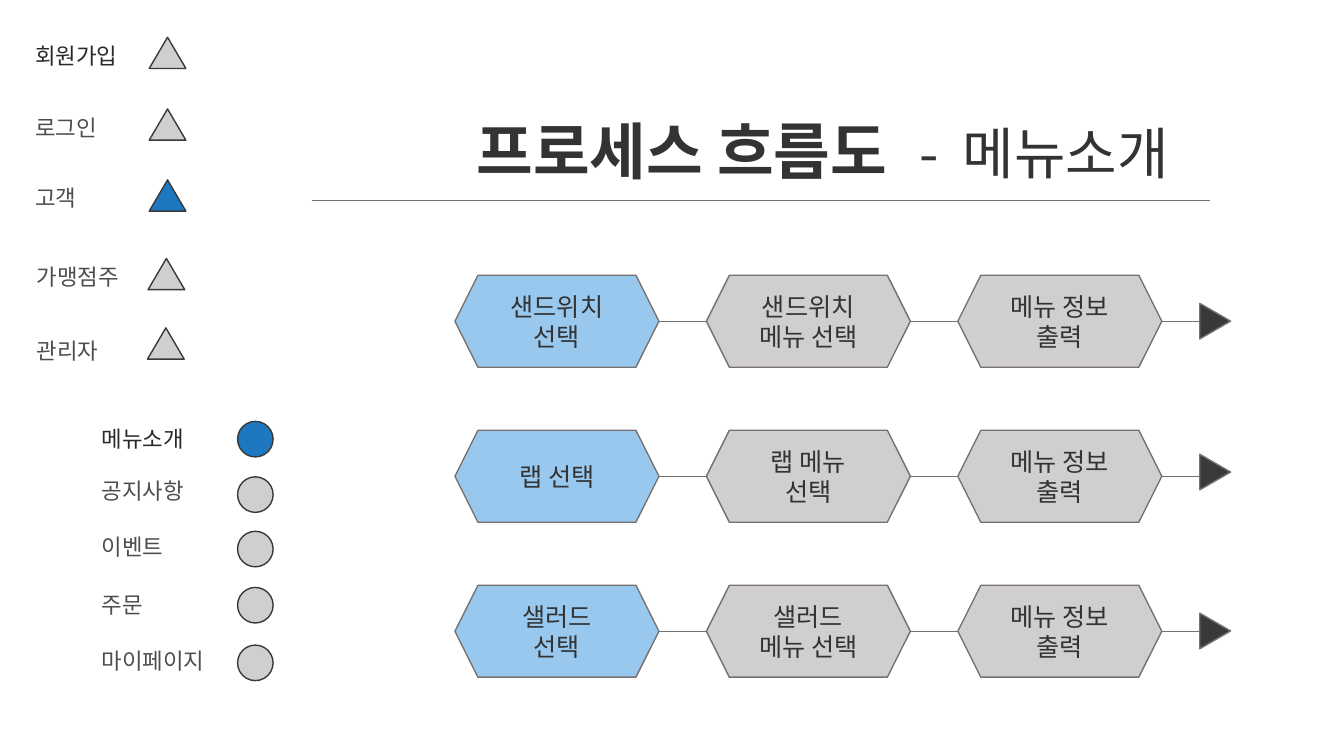
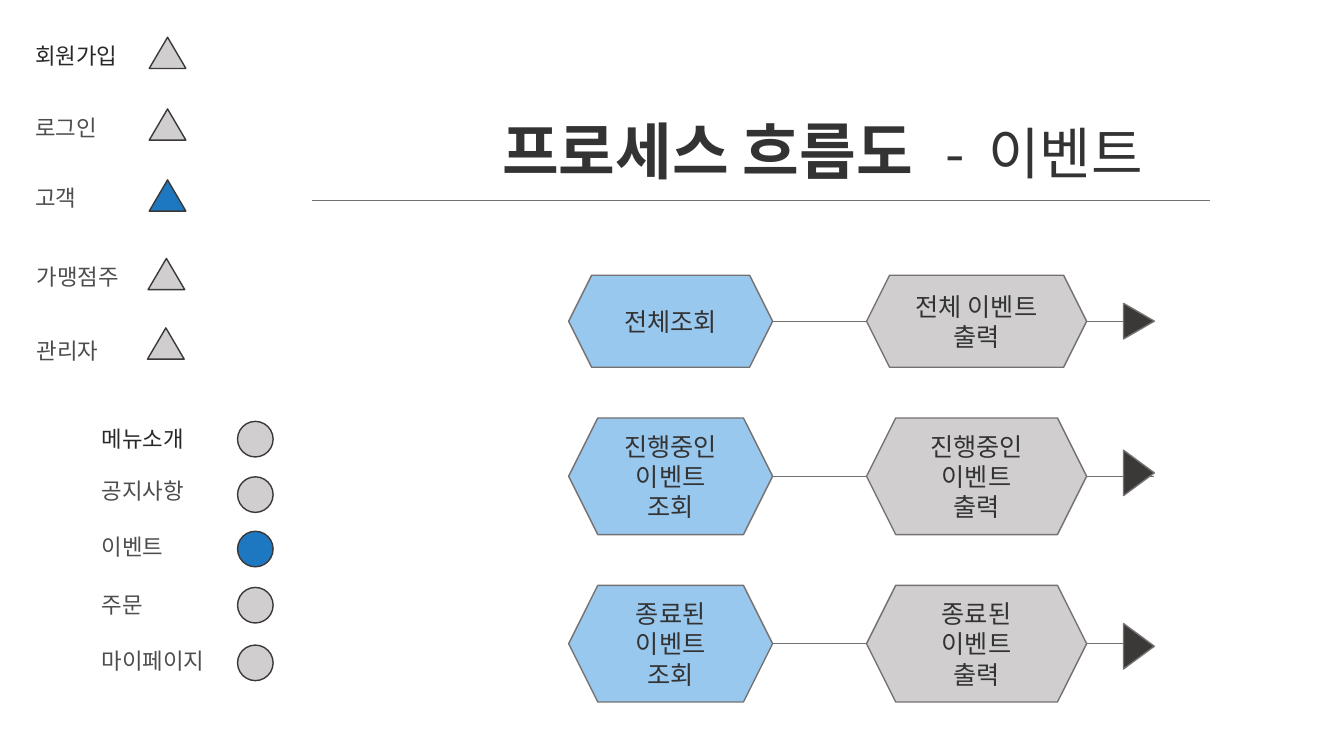
from dataclasses import dataclass
from lxml import etree
from pptx import Presentation, util as u
from pptx.dml import color
from pptx.enum import shapes, text
from pptx.oxml import ns


@dataclass(frozen=True)
class Theme:
    font: str = "Noto Sans CJK KR"
    ink: str = "333333"
    strong: str = "292929"
    label: str = "4D4D4D"
    grey: str = "D0CECE"
    active: str = "1D77C1"
    start: str = "99C8EF"
    dark: str = "3B3838"
    rule: str = "767171"
    title_size: int = 44
    topic_size: int = 40
    step_size: int = 18
    label_size: int = 16


theme = Theme()
Pt = u.Pt
rgb = color.RGBColor.from_string


def style_text(frame, size, ink, align):
    frame.word_wrap = True
    for paragraph in frame.paragraphs:
        paragraph.alignment = align
        font = paragraph.font
        font.size = Pt(size)
        font.name = theme.font
        font.color.rgb = rgb(ink)
        defaults = paragraph._p.pPr.find(ns.qn("a:defRPr"))
        etree.SubElement(defaults, ns.qn("a:ea"), typeface=theme.font)


def add_mark(slide, kind, left, top, width, height, fill, line):
    shape = slide.shapes.add_shape(kind, Pt(left), Pt(top), Pt(width), Pt(height))
    shape.shadow.inherit = False
    shape.fill.solid()
    shape.fill.fore_color.rgb = rgb(fill)
    shape.line.color.rgb = rgb(line)
    shape.line.width = Pt(1)
    return shape


triangle = shapes.MSO_SHAPE.ISOSCELES_TRIANGLE
circle = shapes.MSO_SHAPE.OVAL
hexagon = shapes.MSO_SHAPE.HEXAGON
left_align, center_align = text.PP_ALIGN.LEFT, text.PP_ALIGN.CENTER

# kind, mark width, mark height, label width, entries of (name, label x, label y, mark x, mark y)
menus = [
    (triangle, 26.2, 22.3, 91.4, [
        ("회원가입", 18.2, 26.6, 106.6, 26.6),
        ("로그인", 18.2, 77.8, 106.6, 77.8),
        ("고객", 18.2, 128.2, 106.6, 128.5),
        ("가맹점주", 19.2, 184.3, 105.8, 184.6),
        ("관리자", 19.2, 237, 105.4, 234.2)]),
    (circle, 25.4, 25.4, 113.8, [
        ("메뉴소개", 65.5, 300.2, 169.7, 301),
        ("공지사항", 65.5, 337, 169.7, 340.6),
        ("이벤트", 65.5, 377.4, 169.7, 379.5),
        ("주문", 65.5, 418.4, 169.7, 419.6),
        ("마이페이지", 65.5, 458.6, 169.7, 460.8)]),
]

# topic, columns of (x, width), arrow x, rows of (center, height, steps, line end, arrow center, arrow height)
flows = [
    ("메뉴소개", [(325, 145.7), (504.6, 145.7), (684.2, 145.7)], 868, [
        (229.5, 65.7, ["샌드위치\v선택", "샌드위치\n메뉴 선택", "메뉴 정보 출력"], 864, 229.4, 25.4),
        (340.2, 65.7, ["랩 선택", "랩 메뉴\n선택", "메뉴 정보 출력"], 864, 337.2, 25.4),
        (450.9, 65.7, ["샐러드\n선택", "샐러드\n메뉴 선택", "메뉴 정보 출력"], 864, 450.7, 25.4)]),
    ("이벤트", [(406.2, 145.7), (619, 157.2)], 813.5, [
        (229.5, 65.7, ["전체조회", "전체 이벤트 출력"], 810, 229.4, 25.4),
        (340.2, 83.3, ["진행중인\n이벤트\n조회", "진행중인\n이벤트\n출력"], 824.4, 337.8, 32.4),
        (459.8, 83.3, ["종료된\n이벤트\n조회", "종료된\n이벤트\n출력"], 810, 461.6, 32.4)]),
]

presentation = Presentation()
presentation.slide_width, presentation.slide_height = Pt(960), Pt(540)

for topic, columns, arrow_center, rows in flows:
    slide = presentation.slides.add_slide(presentation.slide_layouts[5])

    title = slide.shapes.title
    title.left, title.top, title.width, title.height = Pt(311.8), Pt(77), Pt(551.5), Pt(60.5)
    frame = title.text_frame
    frame.auto_size = text.MSO_AUTO_SIZE.NONE
    frame.vertical_anchor = text.MSO_ANCHOR.MIDDLE
    for words, size, bold, spacing in [
            ("프로세스 흐름도", theme.title_size, True, 0),
            (" ", theme.title_size, True, 13),
            ("- ", theme.topic_size, False, 4),
            (topic, theme.topic_size, False, 0)]:
        run = frame.paragraphs[0].add_run()
        run.text = words
        run.font.size = Pt(size)
        run.font.bold = bold
        run._r.get_or_add_rPr().set("spc", str(spacing * 100))
    style_text(frame, theme.title_size, theme.ink, center_align)

    for kind, width, height, label_width, entries in menus:
        for index, (name, label_x, label_y, mark_x, mark_y) in enumerate(entries):
            fill = theme.active if name in ("고객", topic) else theme.grey
            add_mark(slide, kind, mark_x, mark_y, width, height, fill, theme.dark)
            label = slide.shapes.add_textbox(Pt(label_x), Pt(label_y), Pt(label_width), Pt(26.6))
            label.text_frame.text = name
            ink = theme.strong if index == 0 else theme.label
            style_text(label.text_frame, theme.label_size, ink, left_align)

    lines = [(222.7, 864, 143.4)]
    for center, height, steps, line_end, arrow_middle, arrow_height in rows:
        ends = [x for x, width in columns[1:]] + [line_end]
        for (x, width), step, end in zip(columns, steps, ends):
            fill = theme.start if x == columns[0][0] else theme.grey
            shape = add_mark(slide, hexagon, x, center - height / 2, width, height, fill, theme.rule)
            shape.text_frame.text = step
            shape.text_frame.vertical_anchor = text.MSO_ANCHOR.MIDDLE
            style_text(shape.text_frame, theme.step_size, theme.ink, center_align)
            lines.append((x + width, end, center))

    for start, end, y in lines:
        connector = slide.shapes.add_connector(
            shapes.MSO_CONNECTOR.STRAIGHT, Pt(start), Pt(y), Pt(end), Pt(y))
        connector.line.color.rgb = rgb(theme.rule)
        connector.line.width = Pt(0.5)
        etree.SubElement(connector._element.spPr, ns.qn("a:effectLst"))

    for center, height, steps, line_end, arrow_middle, arrow_height in rows:
        arrow = add_mark(slide, triangle, arrow_center - arrow_height / 2, arrow_middle - 11,
                         arrow_height, 22, theme.dark, theme.rule)
        arrow.rotation = 90

presentation.save("out.pptx")
